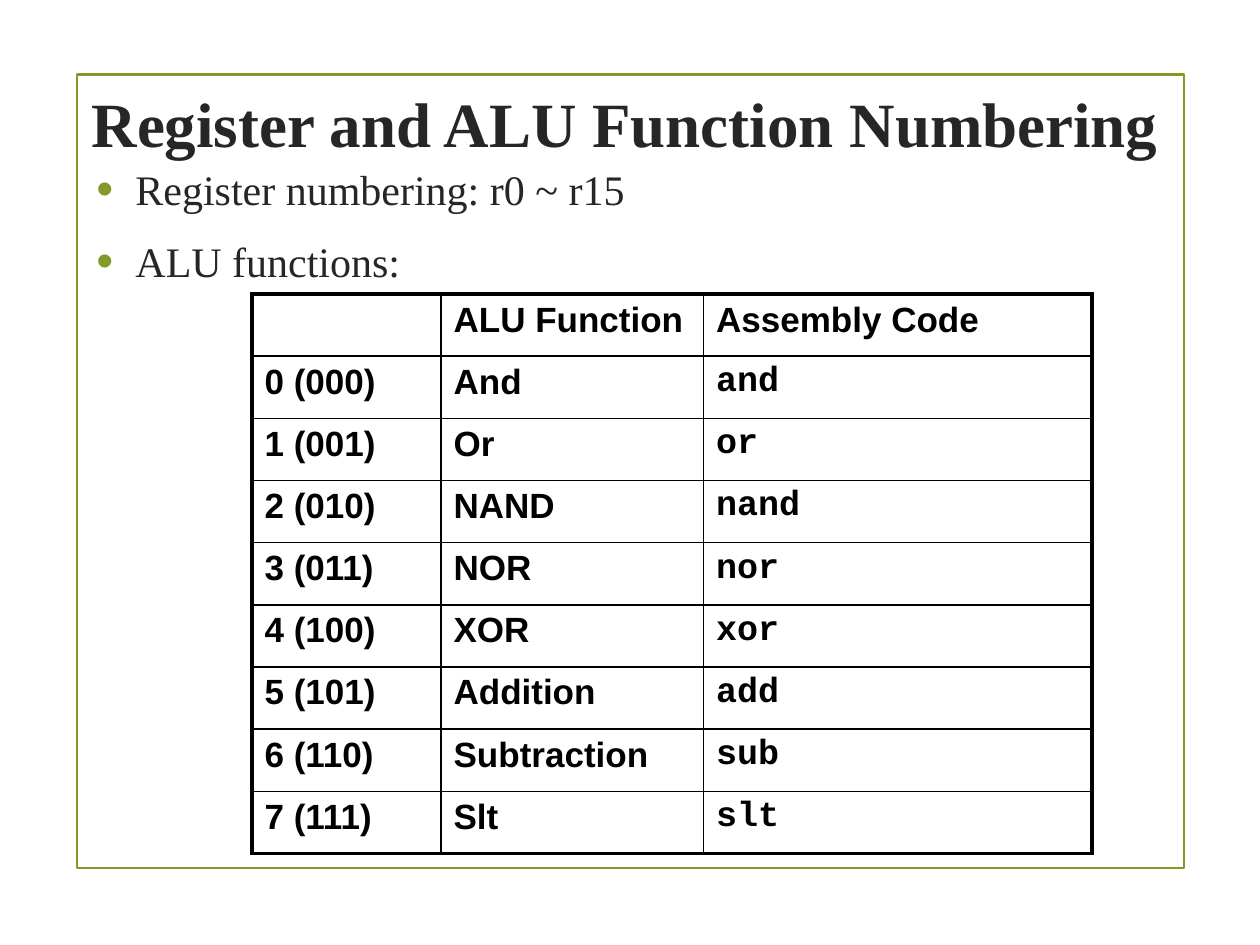
"""Build the register and ALU function numbering slide."""
from dataclasses import dataclass

import lxml.etree
import pptx
import pptx.dml.color
import pptx.enum.shapes
import pptx.enum.text
import pptx.oxml.ns
import pptx.util

INK = pptx.dml.color.RGBColor(0x26, 0x26, 0x26)
OLIVE = pptx.dml.color.RGBColor(0x83, 0x99, 0x2A)
BLACK = pptx.dml.color.RGBColor(0, 0, 0)
SERIF, SANS, MONO = "Times New Roman", "Arial", "Courier New"
GRID = pptx.util.Inches(1) / 12
THIN, THICK = 1, 2.25
COLUMN_SPANS = (18, 25, 37)
BULLETS = ("Register numbering: r0 ~ r15", "ALU functions:")
HEADER = ("", "ALU Function", "Assembly Code")
FUNCTIONS = (
    ("And", "and"), ("Or", "or"), ("NAND", "nand"), ("NOR", "nor"),
    ("XOR", "xor"), ("Addition", "add"), ("Subtraction", "sub"), ("Slt", "slt"),
)


@dataclass(frozen=True)
class Area:
    """A rectangle in twelfth-inch columns and rows."""
    col: float
    row: float
    cols: float
    rows: float

    def emu(self) -> tuple[int, ...]:
        return tuple(round(n * GRID) for n in (self.col, self.row, self.cols, self.rows))


@dataclass(frozen=True)
class Style:
    """Character formatting for a paragraph."""
    font: str
    size: float
    color: pptx.dml.color.RGBColor
    bold: bool = False


FRAME = Area(7.3, 7.1, 105.5, 75.6)
TITLE = Area(7, 3, 105, 17.2)
BODY = Area(8, 15, 110, 15)
TABLE = Area(24, 28, sum(COLUMN_SPANS), 53.3)


def write(p, text: str, style: Style) -> None:
    """Put styled text in a paragraph."""
    p.text = text
    for r in p.runs:
        r.font.name = style.font
        r.font.size = pptx.util.Pt(style.size)
        r.font.bold = style.bold
        r.font.color.rgb = style.color


def add_child(parent, tag: str, **attributes: str):
    """Append a DrawingML element."""
    return lxml.etree.SubElement(parent, pptx.oxml.ns.qn(f"a:{tag}"), attributes)


def add_frame(s) -> None:
    """Draw the outlined frame."""
    sp = s.shapes.add_shape(pptx.enum.shapes.MSO_SHAPE.RECTANGLE, *FRAME.emu())
    sp.shadow.inherit = False
    sp.fill.background()
    sp.line.color.rgb = OLIVE
    sp.line.width = pptx.util.Pt(1.25)


def add_text(s, area: Area):
    """Add a wrapping text box and return its text frame."""
    tf = s.shapes.add_textbox(*area.emu()).text_frame
    tf.word_wrap = True
    return tf


def add_title(s) -> None:
    """Write the centred title."""
    tf = add_text(s, TITLE)
    tf.vertical_anchor = pptx.enum.text.MSO_ANCHOR.MIDDLE
    p = tf.paragraphs[0]
    p.alignment = pptx.enum.text.PP_ALIGN.CENTER
    write(p, "Register and ALU Function Numbering", Style(SERIF, 36, INK, True))


def add_bullets(s) -> None:
    """Write the bulleted lines."""
    tf = add_text(s, BODY)
    indent = pptx.util.Inches(0.31)
    for i, text in enumerate(BULLETS):
        p = tf.add_paragraph() if i else tf.paragraphs[0]
        pPr = p._p.get_or_add_pPr()
        pPr.set("marL", str(indent))
        pPr.set("indent", str(-indent))
        add_child(add_child(pPr, "buClr"), "srgbClr", val=str(OLIVE))
        add_child(pPr, "buSzPct", val="115000")
        add_child(pPr, "buFont", typeface=SANS)
        add_child(pPr, "buChar", char="•")
        p.space_before = pptx.util.Pt(6 if i else 0)
        p.space_after = pptx.util.Pt(6)
        write(p, text, Style(SERIF, 24, INK))


def set_borders(cell, widths: dict[str, float]) -> None:
    """Draw the cell's borders in left, right, top, bottom order."""
    tcPr = cell._tc.get_or_add_tcPr()
    for side, width in widths.items():
        ln = add_child(tcPr, f"ln{side}", w=str(pptx.util.Pt(width)))
        add_child(add_child(ln, "solidFill"), "srgbClr", val=str(BLACK))
    cell.fill.background()


def add_function_table(s) -> None:
    """Add the table of ALU functions."""
    rows = [HEADER] + [(f"{n} ({n:03b})", *names) for n, names in enumerate(FUNCTIONS)]
    last_row, last_col = len(rows) - 1, len(COLUMN_SPANS) - 1
    table = s.shapes.add_table(len(rows), len(COLUMN_SPANS), *TABLE.emu()).table
    table.first_row = table.horz_banding = False
    for column, span in zip(table.columns, COLUMN_SPANS):
        column.width = round(span * GRID)
    for i, texts in enumerate(rows):
        for j, text in enumerate(texts):
            cell = table.cell(i, j)
            font = MONO if i and j == last_col else SANS
            write(cell.text_frame.paragraphs[0], text, Style(font, 20, BLACK, True))
            outer = {"L": j == 0, "R": j == last_col, "T": i == 0, "B": i == last_row}
            set_borders(cell, {k: THICK if edge else THIN for k, edge in outer.items()})


def main() -> None:
    """Create and save the presentation."""
    prs = pptx.Presentation()
    prs.slide_width, prs.slide_height = round(120 * GRID), round(90 * GRID)
    s = prs.slides.add_slide(prs.slide_layouts[6])
    add_frame(s)
    add_title(s)
    add_bullets(s)
    add_function_table(s)
    prs.save("out.pptx")


if __name__ == "__main__":
    main()
